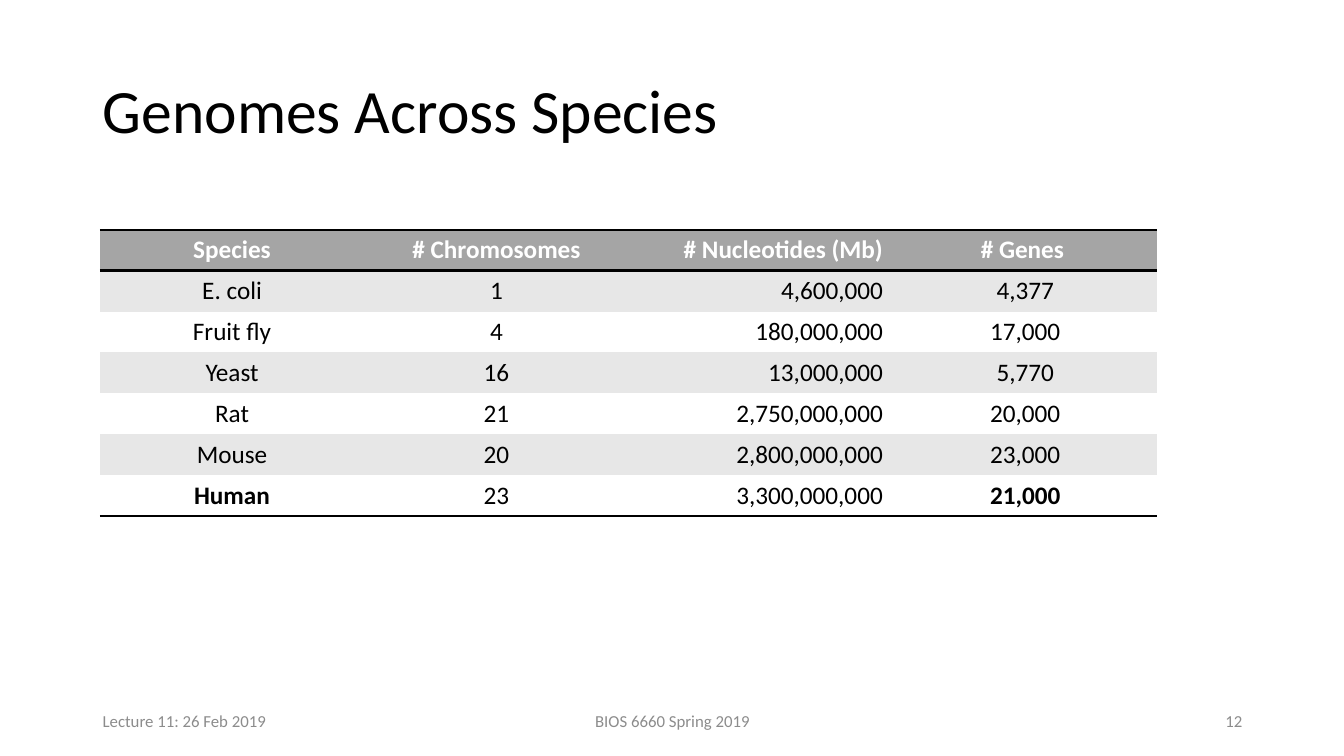
"""Build a slide with a table of genome sizes across species."""
import pptx
import pptx.util
import pptx.dml.color
import pptx.enum.text
import lxml.etree

Inches = pptx.util.Inches
ALIGN = pptx.enum.text.PP_ALIGN
MIDDLE = pptx.enum.text.MSO_ANCHOR.MIDDLE
NS = "http://schemas.openxmlformats.org/drawingml/2006/main"
PLAIN = "{2D5ABB26-0587-4C30-8999-92F81FD0307C}"


def shade(code):
    return pptx.dml.color.RGBColor.from_string(code)


def write(frame, text, size, color, align, bold=False):
    para = frame.paragraphs[0]
    para.alignment = align
    run = para.add_run()
    run.text = text
    run.font.name = "Calibri"
    run.font.size = pptx.util.Pt(size)
    run.font.bold = bold
    run.font.color.rgb = shade(color)


deck = pptx.Presentation()
deck.slide_width = Inches(13.33)
deck.slide_height = Inches(7.5)
slide = deck.slides.add_slide(deck.slide_layouts[5])

title = slide.shapes.title
title.left, title.top = Inches(0.92), Inches(0.4)
title.width, title.height = Inches(11.5), Inches(1.45)
title.text_frame.vertical_anchor = MIDDLE
write(title.text_frame, "Genomes Across Species", 44, "000000", ALIGN.LEFT)
title.text_frame.paragraphs[0].line_spacing = 0.9

rows = [
    ("Species", "# Chromosomes", "# Nucleotides (Mb)", "# Genes "),
    ("E. coli", "1", "4,600,000", "4,377"),
    ("Fruit fly", "4", "180,000,000", "17,000"),
    ("Yeast", "16", "13,000,000", "5,770"),
    ("Rat", "21", "2,750,000,000", "20,000"),
    ("Mouse", "20", "2,800,000,000", "23,000"),
    ("Human", "23", "3,300,000,000", "21,000"),
]
aligns = [ALIGN.CENTER, ALIGN.CENTER, ALIGN.RIGHT, ALIGN.CENTER]
last = len(rows) - 1
edges = {0: ("lnT", "lnB"), last: ("lnB",)}

frame = slide.shapes.add_table(
    len(rows), len(aligns), Inches(0.99), Inches(2.28), Inches(10.49), Inches(2.8))
for style in frame.element.iter(f"{{{NS}}}tableStyleId"):
    style.text = PLAIN
table = frame.table

for r, row in enumerate(rows):
    head = r == 0
    fill = "A5A5A5" if head else "E7E7E7" if r % 2 else "FFFFFF"
    for c, text in enumerate(row):
        cell = table.cell(r, c)
        bold = head or (r == last and c in (0, 3))
        write(cell.text_frame, text, 18, "FFFFFF" if head else "000000", aligns[c], bold)
        props = cell._tc.get_or_add_tcPr()
        for edge in edges.get(r, ()):
            line = lxml.etree.SubElement(props, f"{{{NS}}}{edge}", w=str(pptx.util.Pt(2)))
            solid = lxml.etree.SubElement(line, f"{{{NS}}}solidFill")
            lxml.etree.SubElement(solid, f"{{{NS}}}srgbClr", val="000000")
        cell.fill.solid()
        cell.fill.fore_color.rgb = shade(fill)

for left, width, text, align in [
    (0.92, 3, "Lecture 11: 26 Feb 2019", ALIGN.LEFT),
    (4.42, 4.5, "BIOS 6660 Spring 2019", ALIGN.CENTER),
    (9.42, 3, "12", ALIGN.RIGHT),
]:
    box = slide.shapes.add_textbox(Inches(left), Inches(6.95), Inches(width), Inches(0.4))
    box.text_frame.word_wrap = True
    box.text_frame.vertical_anchor = MIDDLE
    write(box.text_frame, text, 12, "8C8C8C", align)

deck.save("out.pptx")
